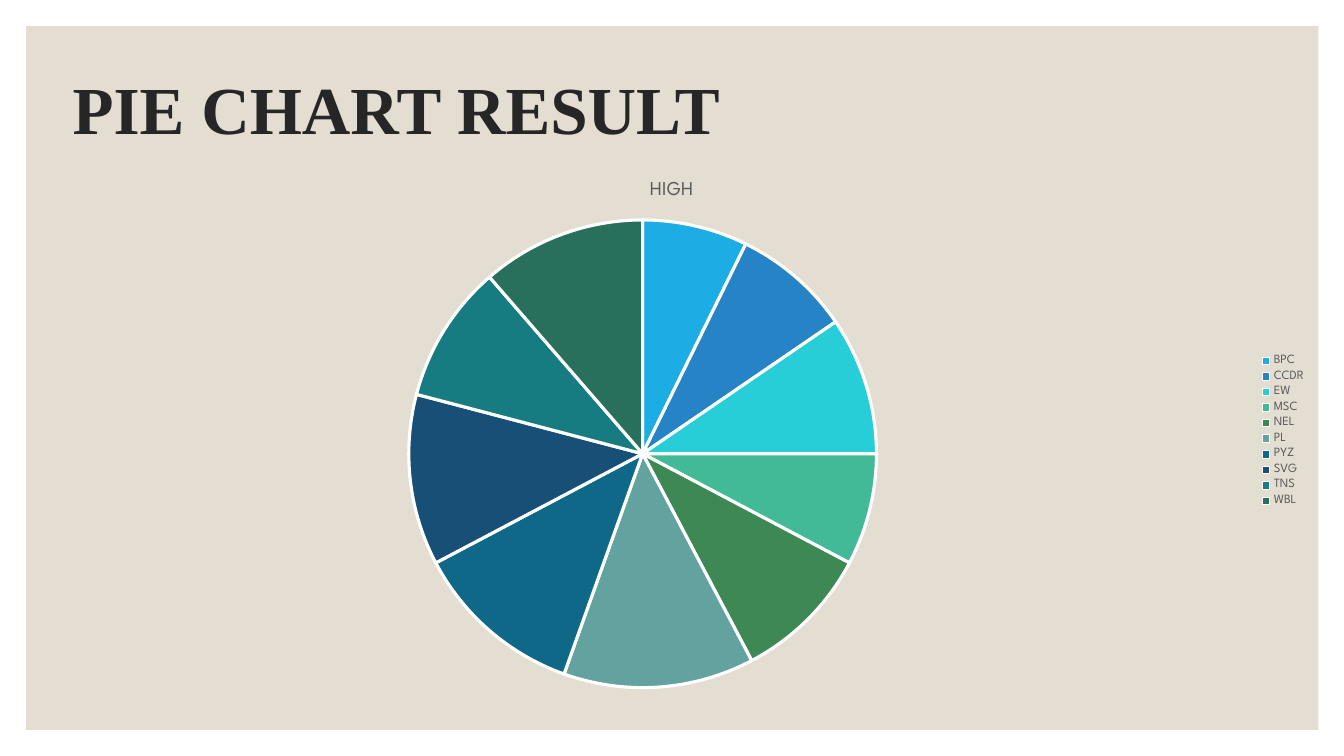
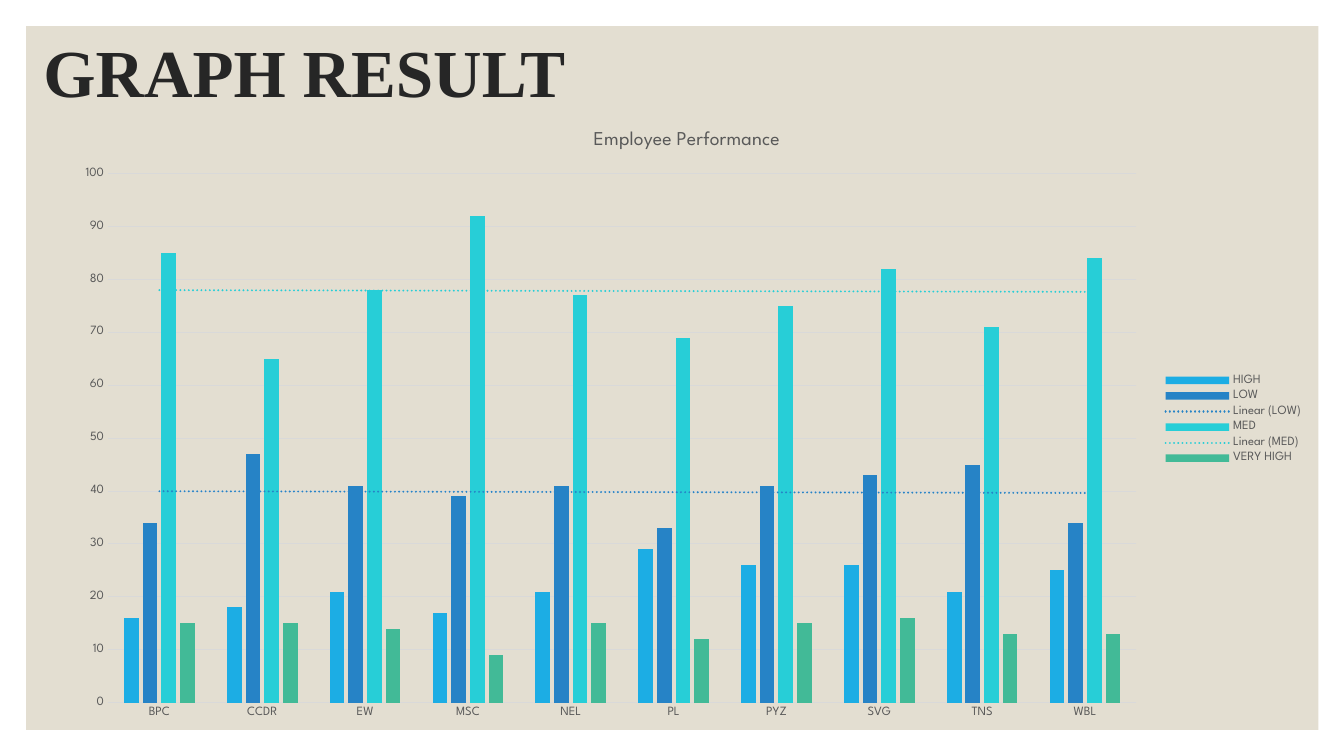
import lxml.etree
import pptx
import pptx.chart.data
import pptx.dml.color
import pptx.enum.chart
import pptx.enum.shapes
import pptx.enum.text
import pptx.oxml
import pptx.oxml.ns
import pptx.util

WIDE, HIGH = pptx.util.Inches(13.333), pptx.util.Inches(7.5)
SAND, INK, GREY, RULE, WHITE = "E3DED1", "262626", "595959", "D9D9D9", "FFFFFF"
HUES = ["1CADE4", "2683C6", "27CED7", "42BA97", "3E8853",
        "62A39F", "106889", "174F77", "177C81", "28705B"]
HEAD_FONT, FONT = "Times New Roman", "League Spartan"

UNITS = ["BPC", "CCDR", "EW", "MSC", "NEL", "PL", "PYZ", "SVG", "TNS", "WBL"]
SCORES = {
    "HIGH": [16, 18, 21, 17, 21, 29, 26, 26, 21, 25],
    "LOW": [34, 47, 41, 39, 41, 33, 41, 43, 45, 34],
    "MED": [85, 65, 78, 92, 77, 69, 75, 82, 71, 84],
    "VERY HIGH": [15, 15, 14, 9, 15, 12, 15, 16, 13, 13],
}
TRENDS = ["LOW", "MED"]


def shade(code):
    return pptx.dml.color.RGBColor.from_string(code)


def box(left, top, width, height):
    """Turn percentages of the slide into lengths."""
    return [int(part * side / 100) for part, side in
            zip((left, top, width, height), (WIDE, HIGH, WIDE, HIGH))]


def paint(part, code):
    part.fill.solid()
    part.fill.fore_color.rgb = shade(code)


def style(font, size, code, name=FONT, bold=False):
    font.size, font.name, font.bold = pptx.util.Pt(size), name, bold
    font.color.rgb = shade(code)


def draw(line, code, width=0.75):
    line.color.rgb = shade(code)
    line.width = pptx.util.Pt(width)


# Shared parts
def add_panel(deck, slide):
    """Draw the sand panel and place it on the master, behind all else."""
    panel = slide.shapes.add_shape(
        pptx.enum.shapes.MSO_SHAPE.RECTANGLE, *box(1.95, 3.47, 96.15, 93.07))
    panel.shadow.inherit = False
    paint(panel, SAND)
    panel.line.fill.background()
    deck.slide_master.shapes[0].element.addprevious(panel.element)


def add_slide(deck, text, left, top):
    slide = deck.slides.add_slide(deck.slide_layouts.get_by_name("Title Only"))
    title = slide.shapes.title
    title.left, title.top, title.width, title.height = box(left, top, 82.5, 20)
    title.text_frame.text = text
    title.text_frame.vertical_anchor = pptx.enum.text.MSO_ANCHOR.MIDDLE
    line = title.text_frame.paragraphs[0]
    line.alignment = pptx.enum.text.PP_ALIGN.LEFT
    line.line_spacing = 0.9
    style(line.runs[0].font, 48, INK, HEAD_FONT, True)
    return slide


def add_chart(slide, kind, place, title):
    data = pptx.chart.data.CategoryChartData()
    data.categories = UNITS
    for name, scores in SCORES.items():
        data.add_series(name, scores)
    chart = slide.shapes.add_chart(kind, *place, data).chart
    chart.replace_data(data)  # a new pie holds only the first series
    style(chart.font, 10, "000000")
    chart.has_title = True
    chart.chart_title.text_frame.text = title
    style(chart.chart_title.text_frame.paragraphs[0].runs[0].font, 14, GREY)
    chart.has_legend = True
    chart.legend.position = pptx.enum.chart.XL_LEGEND_POSITION.RIGHT
    chart.legend.include_in_layout = False
    style(chart.legend.font, 9, GREY)
    return chart


# Chart kinds
def add_pie(slide, place):
    chart = add_chart(slide, pptx.enum.chart.XL_CHART_TYPE.PIE, place, "HIGH")
    chart.plots[0].vary_by_categories = True
    for series in chart.plots[0].series:
        for index, hue in enumerate(HUES):
            wedge = series.points[index].format
            paint(wedge, hue)
            draw(wedge.line, WHITE, 2.25)


def add_trend(series, hue):
    """Add a dotted linear trend line."""
    trend = pptx.oxml.parse_xml(
        f'<c:trendline {pptx.oxml.ns.nsdecls("c", "a")}>'
        '<c:spPr><a:ln w="19050" cap="rnd"><a:solidFill>'
        f'<a:srgbClr val="{hue}"/></a:solidFill>'
        '<a:prstDash val="sysDot"/></a:ln></c:spPr>'
        '<c:trendlineType val="linear"/><c:dispRSqr val="0"/>'
        '<c:dispEq val="0"/></c:trendline>')
    series._element.find(pptx.oxml.ns.qn("c:cat")).addprevious(trend)


def add_bars(slide, place):
    chart = add_chart(slide, pptx.enum.chart.XL_CHART_TYPE.COLUMN_CLUSTERED,
                      place, "Employee Performance")
    plot = chart.plots[0]
    plot.vary_by_categories = False
    plot.gap_width, plot.overlap = 219, -27
    for series, hue in zip(plot.series, HUES):
        paint(series.format, hue)
        series.invert_if_negative = False
        if series.name in TRENDS:
            add_trend(series, hue)
    for axis in (chart.category_axis, chart.value_axis):
        axis.major_tick_mark = pptx.enum.chart.XL_TICK_MARK.NONE
        axis.minor_tick_mark = pptx.enum.chart.XL_TICK_MARK.NONE
        style(axis.tick_labels.font, 9, GREY)
    draw(chart.category_axis.format.line, RULE)
    scale = chart.value_axis
    scale.minimum_scale, scale.maximum_scale, scale.major_unit = 0, 100, 10
    scale.format.line.fill.background()
    draw(scale.major_gridlines.format.line, RULE)


def main():
    deck = pptx.Presentation()
    deck.slide_width, deck.slide_height = WIDE, HIGH

    # Pie slide
    slide = add_slide(deck, "PIE CHART RESULT", 4.65, 4.93)
    add_panel(deck, slide)
    add_pie(slide, box(2.02, 21.2, 95.92, 71.6))

    # Column slide
    slide = add_slide(deck, "GRAPH RESULT", 2.48, 0)
    add_bars(slide, box(4.5, 14.27, 93.22, 82.4))

    deck.save("out.pptx")


if __name__ == "__main__":
    main()
